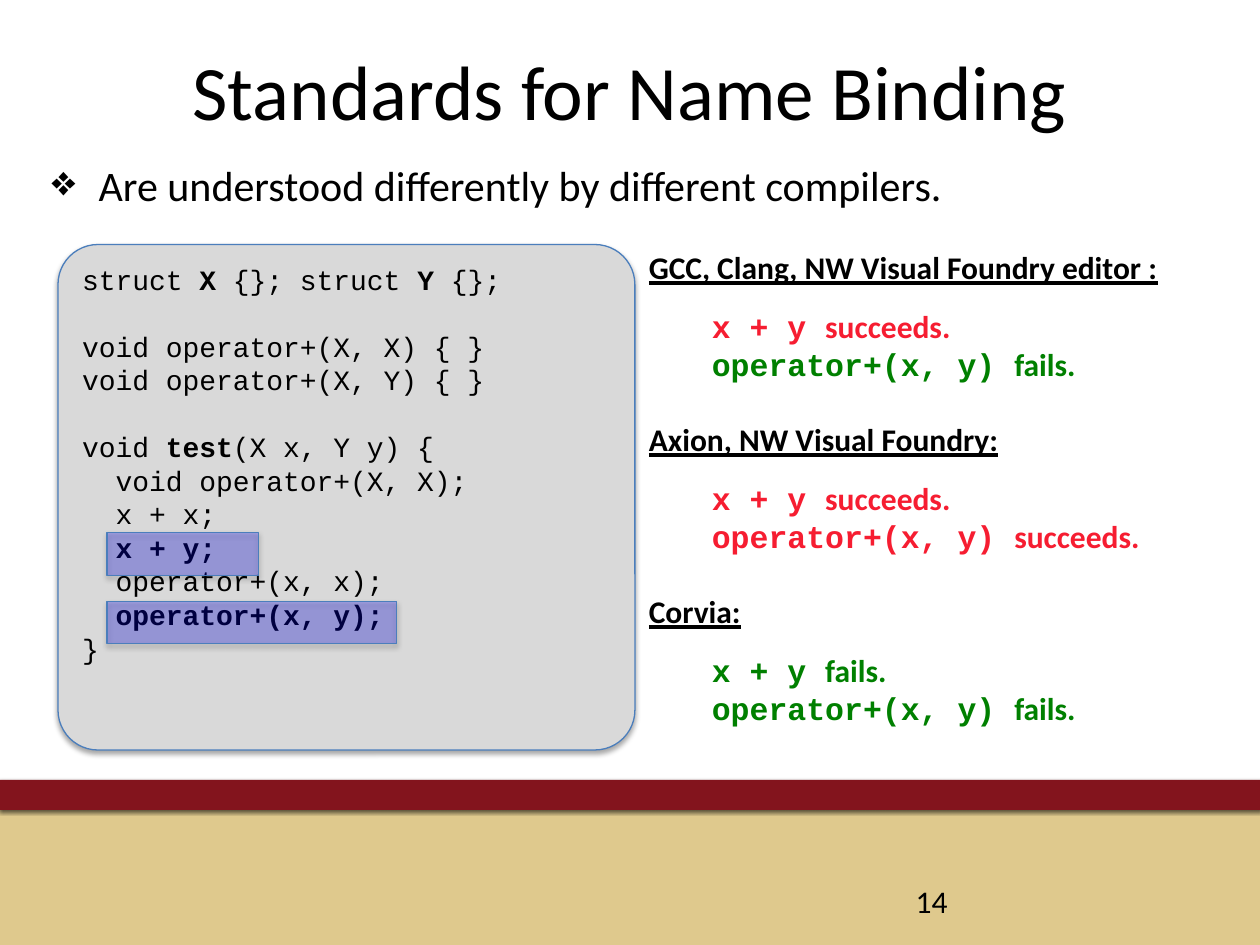
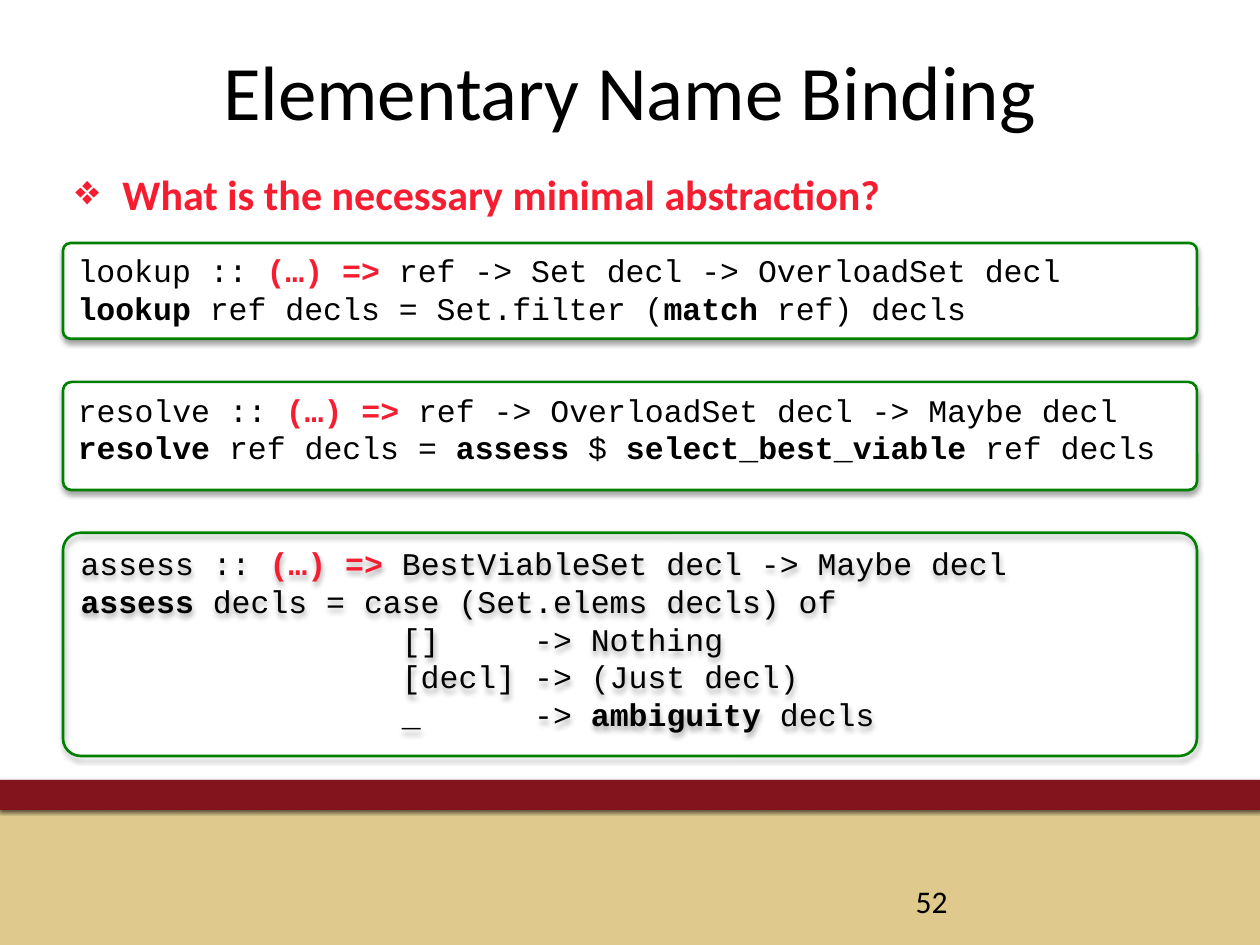
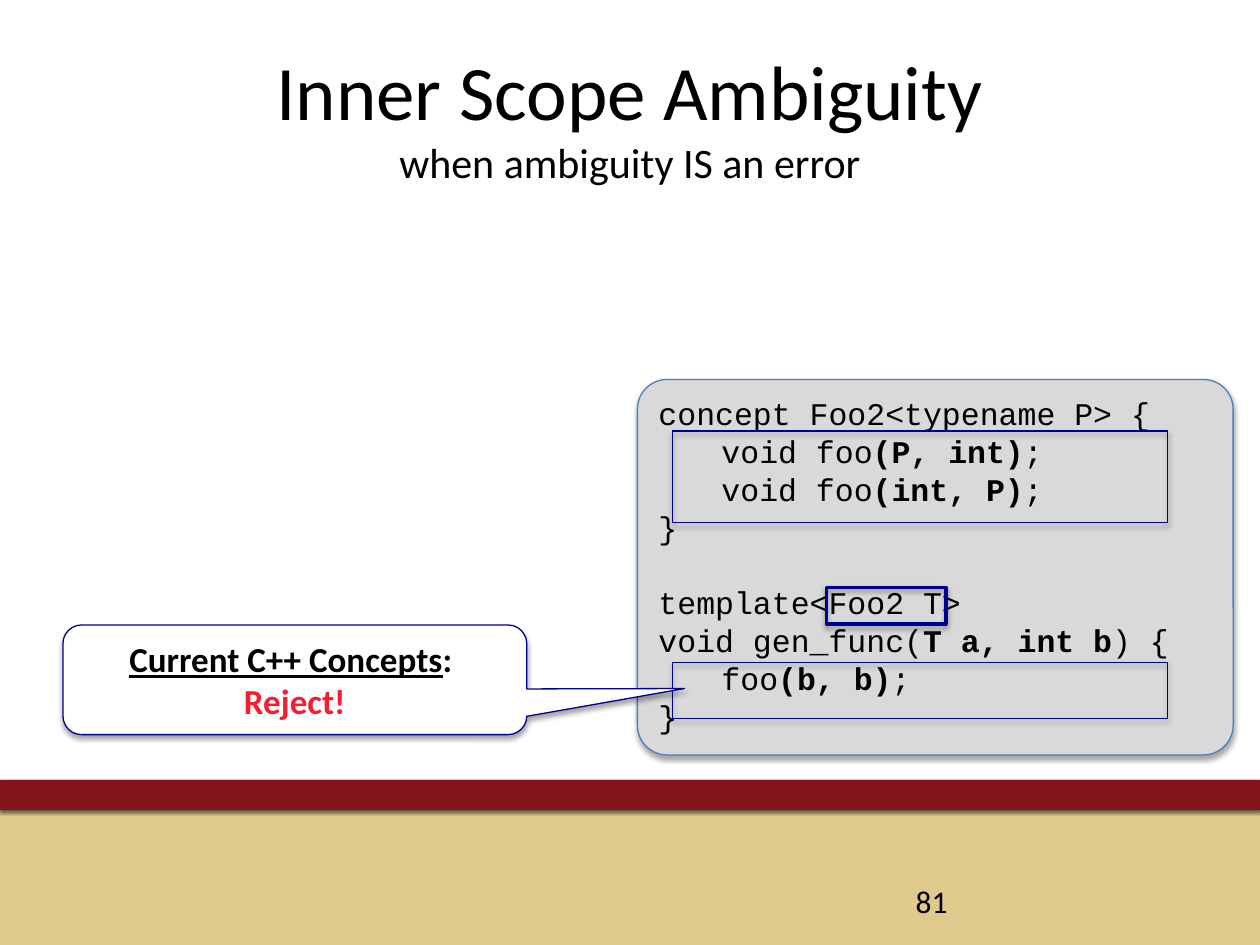
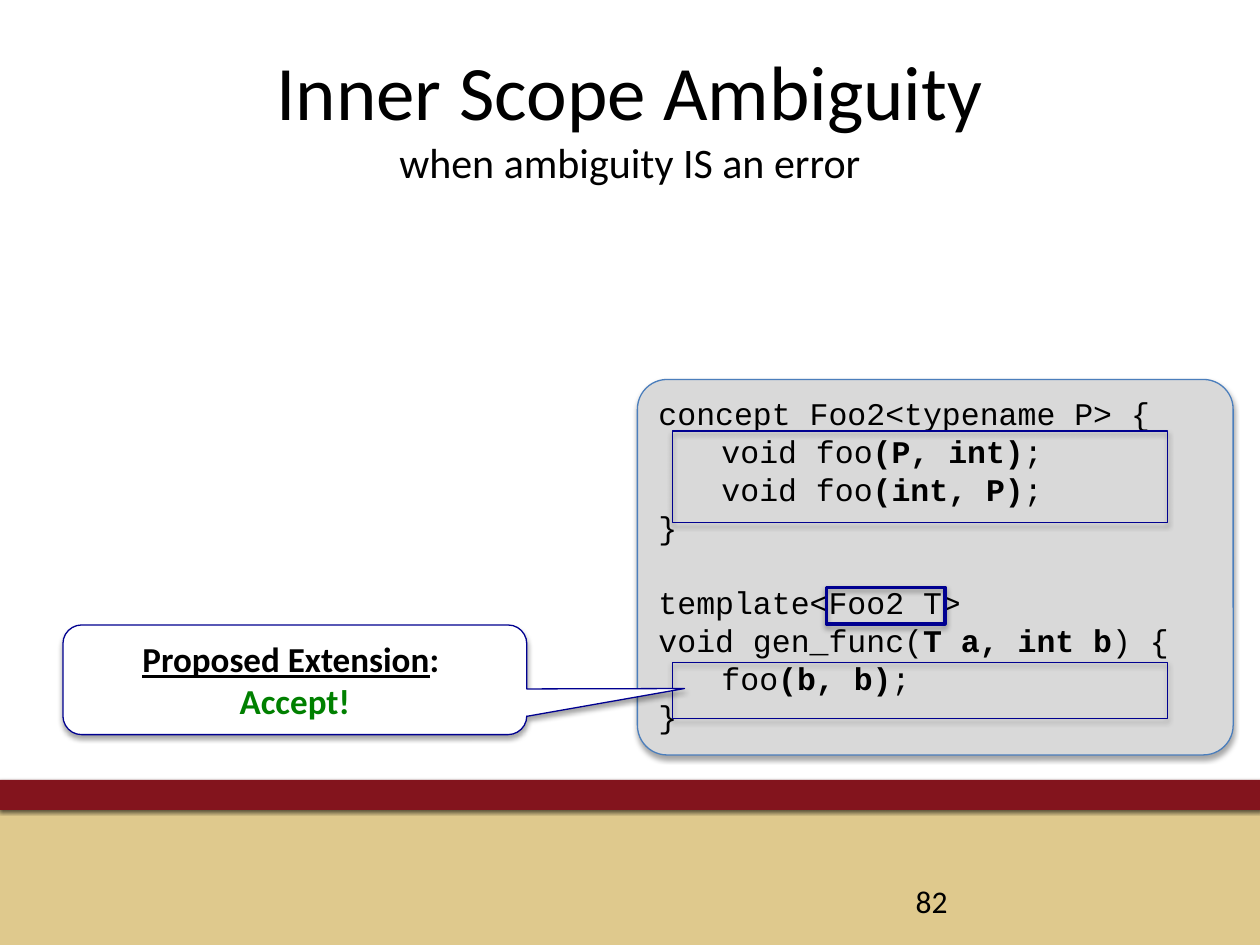
from lxml.etree import SubElement
from pptx import Presentation
from pptx.dml.color import RGBColor
from pptx.enum.shapes import MSO_SHAPE as Preset
from pptx.enum.text import MSO_ANCHOR as Anchor, PP_ALIGN as Align
from pptx.oxml.ns import qn
from pptx.util import Cm, Pt

rgb = RGBColor.from_string
BLACK, WHITE, RED, GREEN = "000000", "FFFFFF", "F61D31", "008000"
GREY, BLUE, NAVY = "D9D9D9", "4B7EBC", "000090"
TAN, MAROON, HIGHLIGHT = "DFC98D", "83141D", "0000FF"
CORNER = 0.079
SOFT_SHADOW = (35, 3.1, 1.8, 90)
BAND_SHADOW = (60, 2, 1, 105)

BOLD = {"bold": True}
ARROW = {"bold": True, "color": RED}
HEADING = {"bold": True, "underline": True}
PLAIN_CODE = {"font": "Courier New"}


def draw(slide, preset, place, fill=None, line=None, width=0.75, shadow=SOFT_SHADOW, adjust=()):
    shape = slide.shapes.add_shape(preset, *map(Cm, place))
    for i, value in enumerate(adjust):
        shape.adjustments[i] = value
    if fill:
        shape.fill.solid()
        shape.fill.fore_color.rgb = rgb(fill)
    else:
        shape.fill.background()
    if line:
        shape.line.color.rgb = rgb(line)
        shape.line.width = Pt(width)
    else:
        shape.line.fill.background()
    shape.shadow.inherit = False
    if shadow:
        alpha, blur, distance, angle = shadow
        effects = shape.element.spPr.find(qn("a:effectLst"))
        outer = SubElement(effects, qn("a:outerShdw"), blurRad=str(Pt(blur)), dist=str(Pt(distance)),
                           dir=str(angle * 60000), algn="ctr", rotWithShape="0")
        tint = SubElement(outer, qn("a:srgbClr"), val=BLACK)
        SubElement(tint, qn("a:alpha"), val=str(alpha * 1000))
    return shape


def write(shape, lines, size, font="Calibri", align=Align.LEFT, anchor=Anchor.TOP):
    frame = shape.text_frame
    frame.word_wrap = True
    frame.vertical_anchor = anchor
    for i, line in enumerate(lines):
        paragraph = frame.paragraphs[0] if i == 0 else frame.add_paragraph()
        paragraph.alignment = align
        for text, look in line:
            run = paragraph.add_run()
            run.text = text
            run.font.size = Pt(look.get("size", size))
            run.font.name = look.get("font", font)
            run.font.bold = look.get("bold", False)
            run.font.underline = look.get("underline", False)
            run.font.color.rgb = rgb(look.get("color", BLACK))
    return frame.paragraphs


deck = Presentation()
deck.slide_width, deck.slide_height = Cm(25.4), Cm(19.05)
blank = deck.slide_layouts[6]

headers = [
    ("Standards for Name Binding", 14),
    ("Elementary Name Binding", 52),
    ("Inner Scope Ambiguity", 81),
    ("Inner Scope Ambiguity", 82),
]
slides = [deck.slides.add_slide(blank) for _ in headers]
standards, elementary, rejected, accepted = slides

footer = draw(standards, Preset.RECTANGLE, (0, 16.33, 25.4, 2.72), TAN, shadow=None)
stripe = draw(standards, Preset.RECTANGLE, (0, 15.72, 25.43, 0.61), MAROON, shadow=BAND_SHADOW)
for i, band in enumerate((footer, stripe)):
    band.element.nvSpPr.cNvPr.set("id", str(101 + i))
    deck.slide_master.shapes.element.insert(2 + i, band.element)

for slide, (title, number) in zip(slides, headers):
    heading = slide.shapes.add_textbox(*map(Cm, (1.27, 0.76, 22.86, 3.18)))
    heading_lines = write(heading, [[(title, {})]], 44, align=Align.CENTER)
    if slide in (rejected, accepted):
        heading_lines[0].add_line_break()
        subtitle = heading_lines[0].add_run()
        subtitle.text = "when ambiguity IS an error"
        subtitle.font.size = Pt(24)
        subtitle.font.name = "Calibri"
        subtitle.font.color.rgb = rgb(BLACK)
    page = slide.shapes.add_textbox(*map(Cm, (18.21, 17.65, 5.92, 1.02)))
    write(page, [[(str(number), {})]], 18, anchor=Anchor.MIDDLE)

statements = [
    (standards, (0.79, 3.1, 23.8, 1.4), "Are understood differently by different compilers.", {}),
    (elementary, (1.27, 3.28, 23.39, 1.4), "What is the necessary minimal abstraction?", ARROW),
]
for slide, place, text, look in statements:
    statement = slide.shapes.add_textbox(*map(Cm, place))
    properties = statement.text_frame.paragraphs[0]._p.get_or_add_pPr()
    properties.set("marL", str(Cm(0.95)))
    properties.set("indent", str(Cm(-0.95)))
    SubElement(properties, qn("a:buChar"), char="❖")
    write(statement, [[(text, look)]], 24)

binding_code = [
    [("struct ", {}), ("X ", BOLD), ("{}; struct ", {}), ("Y", BOLD), (" {};", {})],
    [("void operator+(X, X) { }", {})],
    [("void operator+(X, Y) { }", {})],
    [("void ", {}), ("test", BOLD), ("(X x, Y y) {", {})],
    [("  void operator+(X, X);", {})],
    [("  x + x;", {})],
    [("  ", {}), ("x + y;", BOLD)],
    [("  operator+(x, x);", {})],
    [("  ", {}), ("operator+(x, y);", BOLD)],
    [("}", {})],
]
listing = draw(standards, Preset.ROUNDED_RECTANGLE, (1.17, 4.93, 11.63, 10.19), GREY, BLUE, adjust=[CORNER])
code_lines = write(listing, binding_code, 16, "Courier New")
for i in (1, 3):
    code_lines[i].space_before = Pt(19)

verdicts = [
    ("GCC, Clang, NW Visual Foundry editor :", "succeeds.", "fails."),
    ("Axion, NW Visual Foundry:", "succeeds.", "succeeds."),
    ("Corvia:", "fails.", "fails."),
]
verdict_lines = []
for compilers, *outcomes in verdicts:
    verdict_lines.append([(compilers, HEADING)])
    for call, outcome in zip(("x + y ", "operator+(x, y) "), outcomes):
        look = {"bold": True, "color": RED if outcome == "succeeds." else GREEN}
        verdict_lines.append([(call, look | PLAIN_CODE), (outcome, look)])
comparison = standards.shapes.add_textbox(*map(Cm, (12.83, 4.88, 12.57, 10.77)))
for i, paragraph in enumerate(write(comparison, verdict_lines, 18)):
    if i % 3:
        paragraph._p.get_or_add_pPr().set("marL", str(Cm(1.27)))
    if i % 3 == 1:
        paragraph.space_before = Pt(12)
    elif i and i % 3 == 0:
        paragraph.space_before = Pt(21.5)

for top, width in ((10.74, 3.05), (12.12, 5.84)):
    highlight = draw(standards, Preset.RECTANGLE, (2.16, top, width, 0.86), HIGHLIGHT, BLUE)
    tint = highlight.element.spPr.find(qn("a:solidFill"))[0]
    SubElement(tint, qn("a:alpha"), val="25000")

definitions = [
    (7.7, 2.18, WHITE, [
        [("resolve :: ", {}), ("(…) => ", ARROW), ("ref -> OverloadSet decl -> Maybe decl", {})],
        [("resolve", BOLD), (" ref decls = ", {}), ("assess", BOLD), (" $ ", {}),
         ("select_best_viable", BOLD), (" ref decls", {})],
    ]),
    (4.9, 1.93, WHITE, [
        [("lookup :: ", {}), ("(…) => ", ARROW), ("ref -> Set decl -> OverloadSet decl", {})],
        [("lookup", BOLD), (" ref decls = Set.filter (", {}), ("match", BOLD), (" ref) decls", {})],
    ]),
    (10.74, 4.5, None, [
        [("assess :: ", {}), ("(…) => ", ARROW), ("BestViableSet decl -> Maybe decl", {})],
        [("assess ", BOLD), ("decls = case (Set.elems decls) of", {})],
        [("                 []     -> Nothing", {})],
        [("                 [decl] -> (Just decl)", {})],
        [("                 _      -> ", {}), ("ambiguity ", BOLD), ("decls", {})],
    ]),
]
for top, height, fill, lines in definitions:
    definition = draw(elementary, Preset.ROUNDED_RECTANGLE, (1.27, top, 22.86, height), fill, GREEN, 1.5,
                      adjust=[CORNER])
    write(definition, lines, 18, "Courier New")

concept_code = [
    [("concept Foo2<typename P> {", {})],
    [("\tvoid foo", {}), ("(P, int)", BOLD), (";", {})],
    [("\t", BOLD), ("void foo", {}), ("(int, P)", BOLD), (";", {})],
    [("}", {})],
    [("template<Foo2 T>", {})],
    [("void gen_func(", {}), ("T a, int b", BOLD), (") {", {})],
    [("\tfoo", {}), ("(b, b)", BOLD), (";", {})],
    [("}", {})],
]
outcomes = [
    (rejected, 2.41, "Current C++ Concepts", "Reject!", RED),
    (accepted, 2.39, "Proposed Extension", "Accept!", GREEN),
]
for slide, constraint_width, approach, outcome, color in outcomes:
    listing = draw(slide, Preset.ROUNDED_RECTANGLE, (12.85, 7.65, 12.01, 7.57), GREY, BLUE, adjust=[CORNER])
    code_lines = write(listing, concept_code, 18, "Courier New")
    code_lines[4].space_before = Pt(21.5)
    for i in (1, 2, 6):
        stops = SubElement(code_lines[i]._p.get_or_add_pPr(), qn("a:tabLst"))
        SubElement(stops, qn("a:tab"), pos=str(Cm(1.27)), algn="l")
    draw(slide, Preset.RECTANGLE, (16.66, 11.84, constraint_width, 0.74), line=NAVY, width=2)
    for top, height in ((13.36, 1.12), (8.69, 1.85)):
        draw(slide, Preset.RECTANGLE, (13.56, top, 9.98, height), line=NAVY)
    callout = draw(slide, Preset.ROUNDED_RECTANGULAR_CALLOUT, (1.27, 12.6, 9.35, 2.21), WHITE, NAVY,
                   adjust=(0.84, 0.08, 0.17))
    write(callout, [[(approach, HEADING), (": ", BOLD)], [(outcome, {"bold": True, "color": color})]],
          20, align=Align.CENTER, anchor=Anchor.MIDDLE)

deck.save("out.pptx")
